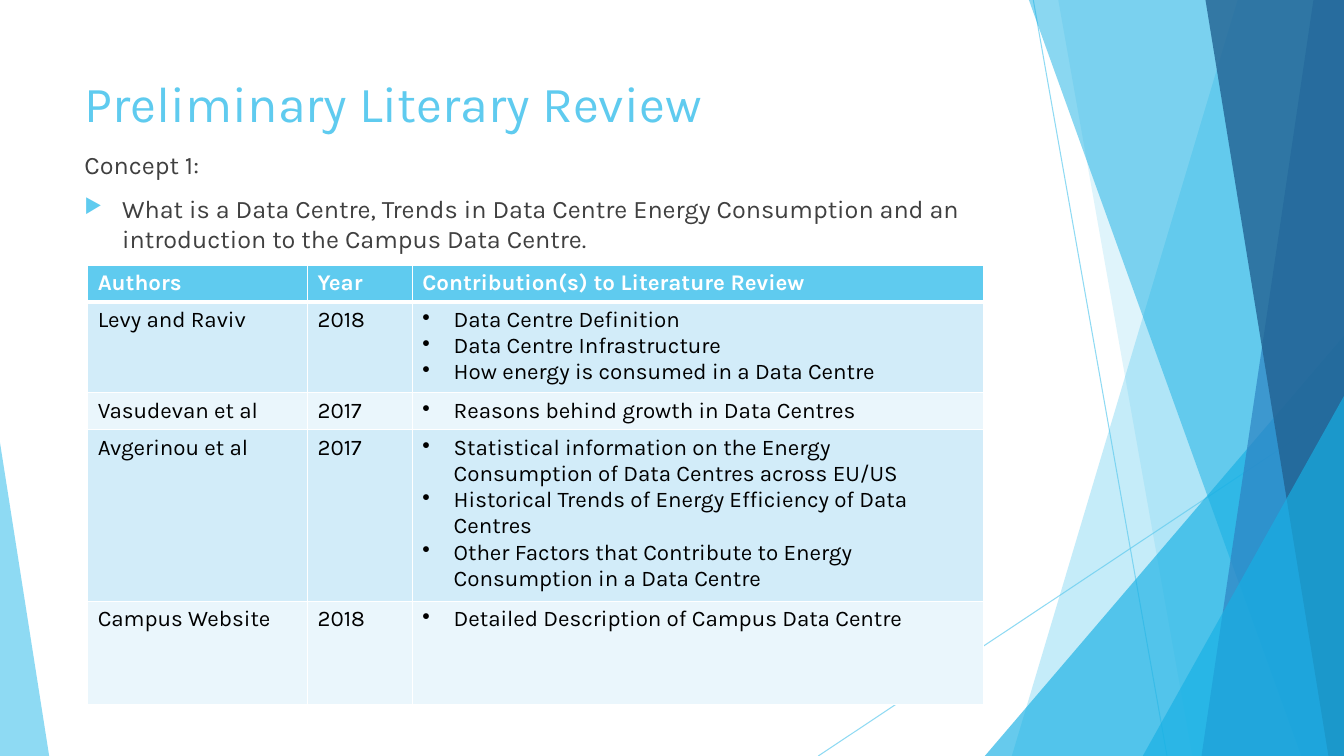
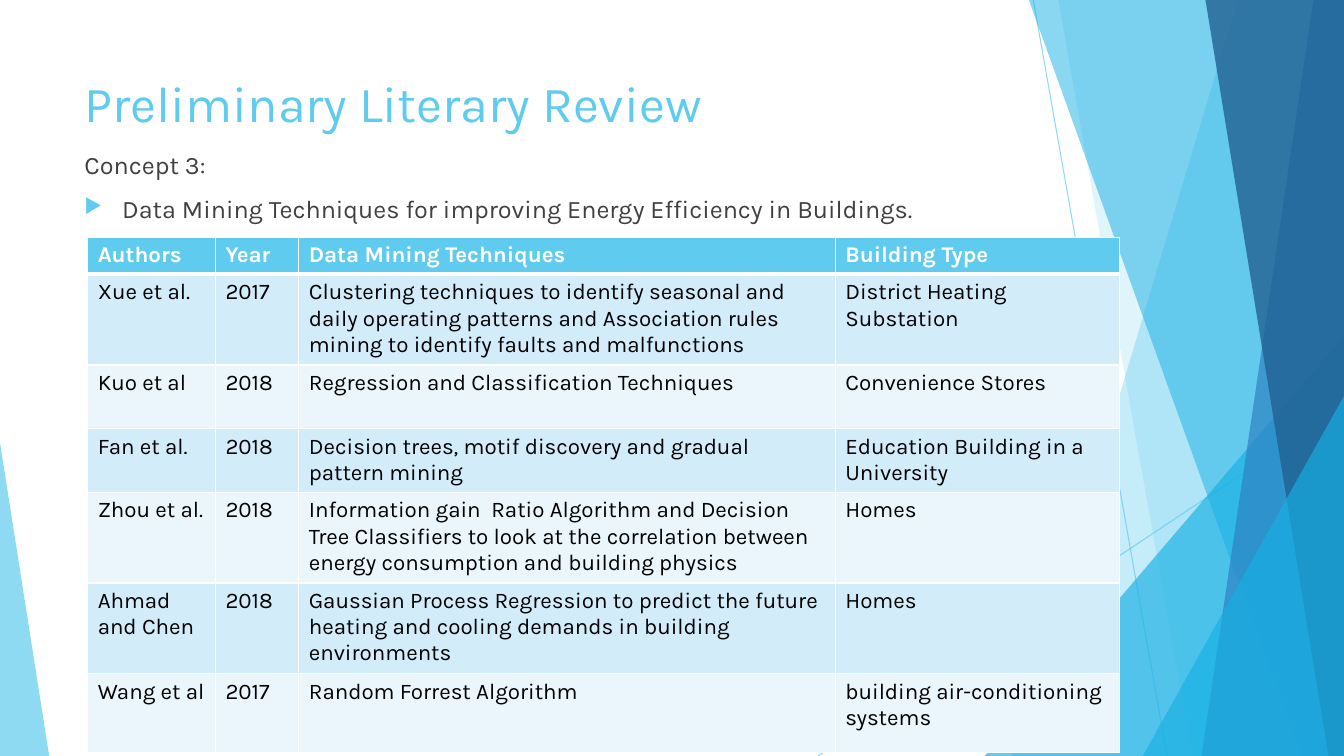
"""Build two literature review slides with a faceted blue backdrop."""
from lxml.etree import SubElement
from pptx import Presentation
from pptx.dml.color import RGBColor
from pptx.enum.shapes import MSO_CONNECTOR as Connector, MSO_SHAPE as Shape
from pptx.oxml.ns import qn
from pptx.util import Cm, Pt

FONT = "Karla"
WHITE = RGBColor(0xFF, 0xFF, 0xFF)
BLACK = RGBColor(0x00, 0x00, 0x00)
GREY = RGBColor(0x40, 0x40, 0x40)
SKY = RGBColor(0x5F, 0xCB, 0xEF)
CYAN = RGBColor(0x17, 0xB0, 0xE4)
BLUE = RGBColor(0x2E, 0x83, 0xC3)
NAVY = RGBColor(0x22, 0x62, 0x92)
STRIPES = (RGBColor(0xEA, 0xF6, 0xFC), RGBColor(0xD2, 0xEC, 0xF9))

PAGE_WIDTH, PAGE_HEIGHT = 33.87, 19.05
TEXT_LEFT, TEXT_WIDTH = 1.88, 23.88
TABLE_LEFT = 2.21

TITLE_FORMAT = {"size": Pt(36), "name": FONT}
BODY_FORMAT = {"size": Pt(18), "name": FONT}
HEADER_FORMAT = {"size": Pt(16), "name": FONT, "bold": True}
CELL_FORMAT = {"size": Pt(16), "name": FONT, "bold": False}

RAYS = [(26.04, 0, 29.41, PAGE_HEIGHT), (PAGE_WIDTH, 10.24, 20.62, PAGE_HEIGHT)]
BACK_BANDS = [(31.19, 25.5, SKY, 36), (26.67, 30.05, SKY, 20)]
FRONT_BANDS = [
    (25.93, 32.79, CYAN, 50),
    (33.1, 30.28, BLUE, 70),
    (30.38, 33.48, NAVY, 80),
]
BACK_TRIANGLES = [(24.82, 8.46, 9.05, 1, CYAN, 66)]
FRONT_TRIANGLES = [(28.8, 9.98, 5.07, 1, CYAN, 66), (0, 11.15, 1.24, 0, SKY, 70)]

CONCEPTS = [
    {
        "label": "Concept 1:",
        "topic": "What is a Data Centre, Trends in Data Centre Energy Consumption "
                 "and an introduction to the Campus Data Centre.",
        "top": 6.68,
        "widths": [5.54, 2.64, 14.4],
        "heights": [0.92, 2.24, 0.92, 4.22, 2.6],
        "rows": [
            ["Authors", "Year", "Contribution(s) to Literature Review"],
            ["Levy and Raviv", "2018", [
                "Data Centre Definition",
                "Data Centre Infrastructure",
                "How energy is consumed in a Data Centre"]],
            ["Vasudevan et al", "2017", ["Reasons behind growth in Data Centres"]],
            ["Avgerinou et al", "2017", [
                "Statistical information on the Energy Consumption of Data Centres "
                "across EU/US",
                "Historical Trends of Energy Efficiency of Data Centres",
                "Other Factors that Contribute to Energy Consumption in a Data Centre"]],
            ["Campus Website", "2018", ["Detailed Description of Campus Data Centre"]],
        ],
    },
    {
        "label": "Concept 3:",
        "topic": "Data Mining Techniques for improving Energy Efficiency in Buildings.",
        "top": 5.98,
        "widths": [3.22, 2.1, 13.52, 7.17],
        "heights": [0.92, 2.25, 1.6, 1.58, 2.25, 2.25, 1.98],
        "rows": [
            ["Authors", "Year", "Data Mining Techniques", "Building Type"],
            ["Xue et al.", "2017",
             "Clustering techniques to identify seasonal and daily operating patterns "
             "and Association rules mining to identify faults and malfunctions",
             "District Heating Substation"],
            ["Kuo et al", "2018", "Regression and Classification Techniques",
             "Convenience Stores"],
            ["Fan et al.", "2018",
             "Decision trees, motif discovery and gradual pattern mining",
             "Education Building in a University"],
            ["Zhou et al.", "2018",
             "Information gain  Ratio Algorithm and Decision Tree Classifiers to look "
             "at the correlation between energy consumption and building physics",
             "Homes"],
            ["Ahmad and Chen", "2018",
             "Gaussian Process Regression to predict the future heating and cooling "
             "demands in building environments",
             "Homes"],
            ["Wang et al", "2017", "Random Forrest Algorithm",
             "building air-conditioning systems"],
        ],
    },
]


def set_alpha(color_format_parent, percent):
    """Make the first solid colour below an element partly transparent."""
    color = next(color_format_parent.iter(qn("a:srgbClr")))
    SubElement(color, qn("a:alpha"), val=str(percent * 1000))


def paint(shape, color, percent):
    """Give a shape a transparent fill without line or shadow."""
    shape.shadow.inherit = False
    shape.fill.solid()
    shape.fill.fore_color.rgb = color
    shape.line.fill.background()
    set_alpha(shape.fill._xPr, percent)


def add_ray(page, start_x, start_y, end_x, end_y):
    """Draw one thin background line."""
    ray = page.shapes.add_connector(
        Connector.STRAIGHT, Cm(start_x), Cm(start_y), Cm(end_x), Cm(end_y))
    ray.line.color.rgb = SKY
    ray.line.width = Pt(0.75)
    set_alpha(ray.line._ln, 70)
    SubElement(ray._element.spPr, qn("a:effectLst"))


def add_band(page, top_x, bottom_x, color, percent):
    """Fill the area from a slanted edge to the right side of the page."""
    outline = page.shapes.build_freeform(Cm(top_x), 0)
    corners = [(PAGE_WIDTH, 0), (PAGE_WIDTH, PAGE_HEIGHT), (bottom_x, PAGE_HEIGHT)]
    outline.add_line_segments([(Cm(x), Cm(y)) for x, y in corners], close=True)
    paint(outline.convert_to_shape(), color, percent)


def add_triangle(page, left, top, width, apex, color, percent):
    """Stand a right-angled triangle on the bottom of the page."""
    triangle = page.shapes.add_shape(
        Shape.ISOSCELES_TRIANGLE, Cm(left), Cm(top), Cm(width), Cm(PAGE_HEIGHT - top))
    triangle.adjustments[0] = apex
    paint(triangle, color, percent)


def add_backdrop(page):
    """Layer the rays, bands and triangles."""
    layers = [
        (add_ray, RAYS),
        (add_band, BACK_BANDS),
        (add_triangle, BACK_TRIANGLES),
        (add_band, FRONT_BANDS),
        (add_triangle, FRONT_TRIANGLES),
    ]
    for draw, items in layers:
        for item in items:
            draw(page, *item)


def write(para, text, font_format, color):
    """Put one formatted span into a paragraph."""
    span = para.add_run()
    span.text = text
    for name, value in font_format.items():
        setattr(span.font, name, value)
    span.font.color.rgb = color


def add_bullet(para, symbol, indent, color=None, percent=100):
    """Give a paragraph a bullet with a hanging indent."""
    properties = para._p.get_or_add_pPr()
    properties.set("marL", str(Cm(indent)))
    properties.set("indent", str(-Cm(indent)))
    if color is not None:
        holder = SubElement(properties, qn("a:buClr"))
        SubElement(holder, qn("a:srgbClr"), val=str(color))
    SubElement(properties, qn("a:buSzPct"), val=str(percent * 1000))
    SubElement(properties, qn("a:buChar"), char=symbol)


def add_text_frame(page, top, height):
    """Return the wrapped text frame of a box in the text column."""
    box = page.shapes.add_textbox(Cm(TEXT_LEFT), Cm(top), Cm(TEXT_WIDTH), Cm(height))
    box.text_frame.word_wrap = True
    return box.text_frame


def add_title(page, text):
    """Write the slide title."""
    write(add_text_frame(page, 1.7, 1.9).paragraphs[0], text, TITLE_FORMAT, SKY)


def add_concept(page, label, topic):
    """Write the concept label and its bulleted topic."""
    frame = add_text_frame(page, 3.63, 3)
    paras = [frame.paragraphs[0], frame.add_paragraph()]
    for para, text in zip(paras, (label, topic)):
        para.space_before = Pt(10)
        write(para, text, BODY_FORMAT, GREY)
    add_bullet(paras[1], "▶", 0.95, SKY, 80)


def set_borders(cell, top, bottom):
    """Draw white borders around a cell, widths in points."""
    properties = cell._tc.get_or_add_tcPr()
    for side, width in {"L": 1, "R": 1, "T": top, "B": bottom}.items():
        line = SubElement(properties, qn(f"a:ln{side}"), w=str(Pt(width)))
        fill = SubElement(line, qn("a:solidFill"))
        SubElement(fill, qn("a:srgbClr"), val=str(WHITE))


def fill_cell(cell, content, row_index):
    """Write and style a cell; a list becomes bulleted paragraphs."""
    is_header = row_index == 0
    set_borders(cell, 3 if row_index == 1 else 1, 3 if is_header else 1)
    cell.fill.solid()
    cell.fill.fore_color.rgb = SKY if is_header else STRIPES[row_index % 2]
    font_format, color = (HEADER_FORMAT, WHITE) if is_header else (CELL_FORMAT, BLACK)
    bulleted = isinstance(content, list)
    frame = cell.text_frame
    for index, text in enumerate(content if bulleted else [content]):
        para = frame.add_paragraph() if index else frame.paragraphs[0]
        write(para, text, font_format, color)
        if bulleted:
            add_bullet(para, "•", 0.79)


def add_review_table(page, top, widths, heights, rows):
    """Build the table of reviewed sources."""
    table = page.shapes.add_table(
        len(rows), len(widths), Cm(TABLE_LEFT), Cm(top),
        Cm(sum(widths)), Cm(sum(heights))).table
    for column, width in zip(table.columns, widths):
        column.width = Cm(width)
    for row_index, (row, height, contents) in enumerate(zip(table.rows, heights, rows)):
        row.height = Cm(height)
        for cell, content in zip(row.cells, contents):
            fill_cell(cell, content, row_index)


def main():
    """Create and save the deck."""
    deck = Presentation()
    deck.slide_width, deck.slide_height = Cm(PAGE_WIDTH), Cm(PAGE_HEIGHT)
    for concept in CONCEPTS:
        page = deck.slides.add_slide(deck.slide_layouts[6])
        add_backdrop(page)
        add_title(page, "Preliminary Literary Review")
        add_concept(page, concept["label"], concept["topic"])
        add_review_table(page, concept["top"], concept["widths"],
                         concept["heights"], concept["rows"])
    deck.save("out.pptx")


if __name__ == "__main__":
    main()
